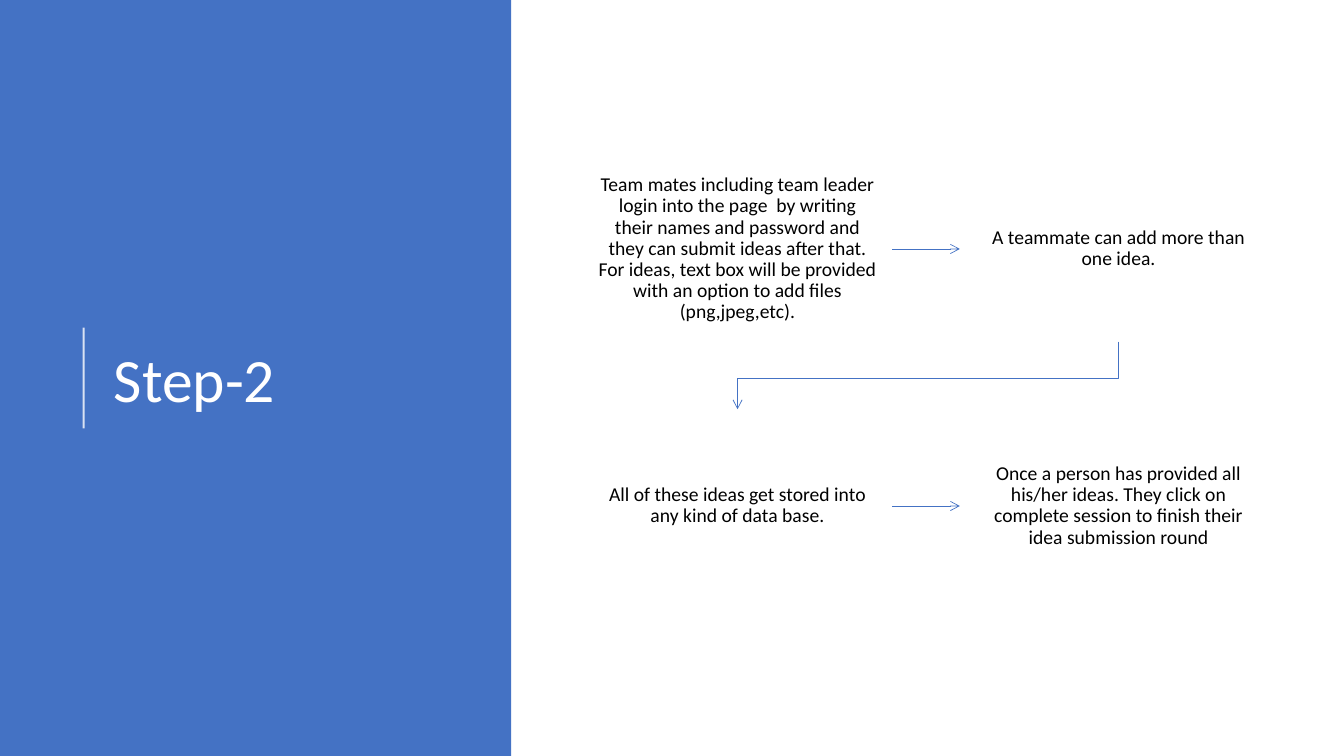
"""Build the Step-2 slide: a blue title panel beside a four-step flow."""
from dataclasses import dataclass

import lxml.etree
import pptx
import pptx.dml.color
import pptx.enum.shapes
import pptx.enum.text
import pptx.oxml.ns
import pptx.shapes.autoshape
import pptx.shapes.base
import pptx.slide
import pptx.util

Inches = pptx.util.Inches
BLUE, WHITE, BLACK = "4472C4", "FFFFFF", "000000"
STEP_LEFT, STEP_TOP = 5.78, 1.55
STEP_WIDTH, STEP_HEIGHT = 3.07, 1.84
COLUMN_PITCH, ROW_PITCH = 3.78, 2.55
ARROW_LENGTH = 0.67


@dataclass
class Step:
    column: int
    row: int
    text: str

    @property
    def left(self) -> float:
        return STEP_LEFT + self.column * COLUMN_PITCH

    @property
    def top(self) -> float:
        return STEP_TOP + self.row * ROW_PITCH

    @property
    def center(self) -> float:
        return self.left + STEP_WIDTH / 2

    @property
    def middle(self) -> float:
        return self.top + STEP_HEIGHT / 2


STEPS = [
    Step(0, 0, "Team mates including team leader login into the page  by writing "
               "their names and password and they can submit ideas after that. "
               "For ideas, text box will be provided with an option to add files "
               "(png,jpeg,etc)."),
    Step(1, 0, "A teammate can add more than one idea."),
    Step(0, 1, "All of these ideas get stored into any kind of data base."),
    Step(1, 1, "Once a person has provided all his/her ideas. They click on "
               "complete session to finish their idea submission round"),
]


def color(value: str) -> pptx.dml.color.RGBColor:
    return pptx.dml.color.RGBColor.from_string(value)


def add_child(parent: lxml.etree.ElementBase, tag: str, **attributes: str) -> None:
    lxml.etree.SubElement(parent, pptx.oxml.ns.qn(tag), attributes)


def style_line(shape: pptx.shapes.base.BaseShape, value: str, width: float) -> None:
    shape.line.color.rgb = color(value)
    shape.line.width = pptx.util.Pt(width)


def add_arrowhead(shape: pptx.shapes.base.BaseShape) -> None:
    add_child(shape.line._get_or_add_ln(), "a:tailEnd", type="arrow")


def add_box(page: pptx.slide.Slide, left: float, top: float, width: float,
            height: float, fill: str) -> pptx.shapes.autoshape.Shape:
    box = page.shapes.add_shape(
        pptx.enum.shapes.MSO_SHAPE.RECTANGLE,
        Inches(left), Inches(top), Inches(width), Inches(height))
    box.shadow.inherit = False
    box.fill.solid()
    box.fill.fore_color.rgb = color(fill)
    box.line.fill.background()
    return box


def write(box: pptx.shapes.autoshape.Shape, text: str, size: float, value: str,
          alignment: pptx.enum.text.PP_ALIGN) -> None:
    frame = box.text_frame
    frame.word_wrap = True
    frame.vertical_anchor = pptx.enum.text.MSO_ANCHOR.MIDDLE
    para = frame.paragraphs[0]
    para.alignment = alignment
    para.line_spacing = 0.9
    span = para.add_run()
    span.text = text
    span.font.name = "Calibri"
    span.font.size = pptx.util.Pt(size)
    span.font.color.rgb = color(value)


def add_line(page: pptx.slide.Slide, start: tuple[float, float],
             end: tuple[float, float], value: str,
             width: float) -> pptx.shapes.base.BaseShape:
    line = page.shapes.add_connector(
        pptx.enum.shapes.MSO_CONNECTOR.STRAIGHT,
        *(Inches(length) for length in (*start, *end)))
    style_line(line, value, width)
    add_child(line._element.spPr, "a:effectLst")
    return line


def add_title_panel(page: pptx.slide.Slide) -> None:
    add_box(page, 0, 0, 5.07, 7.5, BLUE)
    rule = add_line(page, (0.83, 4.25), (0.83, 3.25), WHITE, 1.5)
    white = rule._element.spPr.find(".//" + pptx.oxml.ns.qn("a:srgbClr"))
    add_child(white, "a:alpha", val="80000")
    title = page.shapes.add_textbox(
        Inches(1.03), Inches(0.78), Inches(3.69), Inches(6.02))
    write(title, "Step-2", 44, WHITE, pptx.enum.text.PP_ALIGN.LEFT)


def add_step(page: pptx.slide.Slide, step: Step) -> None:
    box = add_box(page, step.left, step.top, STEP_WIDTH, STEP_HEIGHT, WHITE)
    frame = box.text_frame
    frame.margin_left = frame.margin_right = Inches(0.15)
    frame.margin_top = frame.margin_bottom = Inches(0.16)
    write(box, step.text, 14, BLACK, pptx.enum.text.PP_ALIGN.CENTER)
    if step.column == 0:
        right = step.left + STEP_WIDTH
        arrow = add_line(page, (right, step.middle),
                         (right + ARROW_LENGTH, step.middle), BLUE, 0.5)
        arrow.begin_connect(box, 3)
        add_arrowhead(arrow)


def add_return_arrow(page: pptx.slide.Slide, source: Step, target: Step) -> None:
    bottom, turn = source.top + STEP_HEIGHT, 3.75
    builder = page.shapes.build_freeform(
        Inches(source.center), Inches(bottom), scale=1.0)
    corners = [(source.center, turn), (target.center, turn),
               (target.center, bottom + ARROW_LENGTH)]
    builder.add_line_segments(
        [(Inches(x), Inches(y)) for x, y in corners], close=False)
    arrow = builder.convert_to_shape()
    arrow.shadow.inherit = False
    arrow.fill.background()
    style_line(arrow, BLUE, 0.5)
    add_arrowhead(arrow)


def main() -> None:
    deck = pptx.Presentation()
    deck.slide_width, deck.slide_height = Inches(13.33), Inches(7.5)
    page = deck.slides.add_slide(deck.slide_layouts[6])
    add_title_panel(page)
    for step in STEPS:
        add_step(page, step)
    add_return_arrow(page, STEPS[1], STEPS[2])
    deck.save("out.pptx")


if __name__ == "__main__":
    main()
